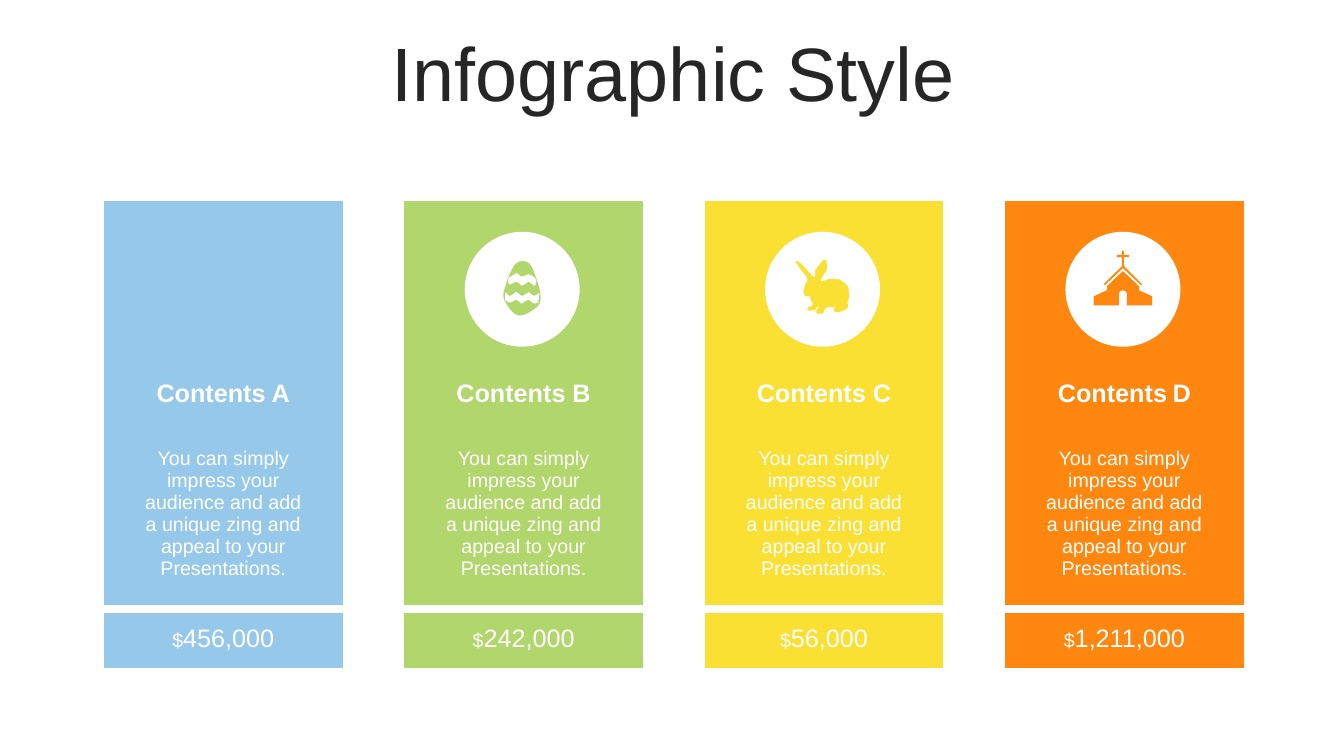
from dataclasses import dataclass
from typing import Any, NamedTuple

from lxml.etree import SubElement
from pptx import Presentation
from pptx.dml.color import RGBColor
from pptx.enum.shapes import MSO_SHAPE
from pptx.enum.text import MSO_ANCHOR, MSO_AUTO_SIZE, PP_ALIGN
from pptx.oxml.ns import qn
from pptx.util import Pt


@dataclass(frozen=True)
class Theme:
    font: str = "Arial"
    ink: str = "262626"
    white: str = "FFFFFF"
    blue: str = "96C8E9"
    green: str = "B0D66C"
    gold: str = "FBE034"
    rust: str = "FF870F"
    title: float = 54
    head: float = 18
    body: float = 14
    rule: float = 6


class Run(NamedTuple):
    text: str
    size: float
    bold: bool = False


class Icon(NamedTuple):
    loops: tuple[str, ...]
    curved: bool


@dataclass(frozen=True)
class Card:
    mark: str
    cost: str
    fill: str
    icon: Icon | None = None
    gap: float = 18


LOOK = Theme()
LEFT, TOP, PITCH = 74.2, 143.28, 214.56
COLS = (16.56, 136.08, 16.56)
ROWS = (124.56, 30.96, 136.08, 42.48)
DISC, INSET, DROP = 82.08, 43.2, 22.32
UNIT = 0.72
PLAIN = "{2D5ABB26-0587-4C30-8999-92F81FD0307C}"
PITCH_TEXT = ("You can simply impress your audience and add a unique zing "
              "and appeal to your Presentations.")

EGG = Icon((
    "39,67 53,83 72,74 75,61 68,38 62,30 53,30 47,37 41,52",
    "70,63 74,61 73,69 73,70 70,71 68,71 64,68 62,68 57,71 56,71 52,68 50,68 "
    "46,70 44,70 40,68 40,67 40,60 44,63 46,63 50,60 52,60 56,63 58,63 63,60 "
    "64,60 68,63",
    "46,44 51,41 52,41 56,44 58,44 63,42 64,42 69,45 71,48 71,50 70,53 68,53 "
    "64,50 63,50 58,53 56,53 52,50 50,50 46,52 44,52 43,49 44,45",
), True)
HARE = Icon((
    "31,31 32,32 35,37 40,43 41,45 42,48 40,52 38,59 39,62 40,64 44,64 46,69 "
    "47,70 47,72 46,74 44,74 42,76 43,78 46,78 49,78 50,77 51,75 53,74 53,75 "
    "51,78 50,79 52,81 57,81 58,80 58,79 61,75 67,75 70,75 68,77 69,79 71,80 "
    "75,79 80,77 82,75 82,71 82,69 83,66 83,59 82,54 75,48 72,47 63,47 57,49 "
    "56,49 55,48 56,46 57,44 61,38 61,30 60,28 58,28 56,30 50,38 50,42 49,45 "
    "47,44 46,43 35,31 31,29 30,29",
), True)
CHURCH = Icon((
    "57,39 73,54 73,58 86,64 86,73 61,73 61,62 60,59 57,58 54,59 53,62 53,73 "
    "28,73 28,64 41,58 41,54",
    "56,19 58,19 58,23 63,23 63,25 58,25 58,34 76,52 75,53 57,36 39,53 38,52 "
    "56,34 56,25 51,25 51,23 56,23",
), False)

CARDS = (
    Card("A", "456,000", LOOK.blue),
    Card("B", "242,000", LOOK.green, EGG),
    Card("C", "56,000", LOOK.gold, HARE),
    Card("D", "1,211,000", LOOK.rust, CHURCH, gap=14),
)


def style(item: Any, values: dict[str, Any]) -> None:
    for name, value in values.items():
        setattr(item, name, value)


def paint(item: Any, tint: str) -> None:
    item.fill.solid()
    item.fill.fore_color.rgb = RGBColor.from_string(tint)


def write(frame: Any, runs: tuple[Run, ...], tint: str) -> None:
    line = frame.paragraphs[0]
    line.alignment = PP_ALIGN.CENTER
    for part in runs:
        run = line.add_run()
        run.text = part.text
        style(run.font, {"name": LOOK.font, "size": Pt(part.size), "bold": part.bold})
        run.font.color.rgb = RGBColor.from_string(tint)


def edge(cell: Any, side: str) -> None:
    props = cell._tc.get_or_add_tcPr()
    line = SubElement(props, qn(f"a:{side}"), w=str(Pt(LOOK.rule)))
    fill = SubElement(line, qn("a:solidFill"))
    SubElement(fill, qn("a:srgbClr"), val=LOOK.white)
    props.insert(0, line)


def add_card(slide: Any, card: Card, left: float) -> None:
    frame = slide.shapes.add_table(len(ROWS), len(COLS), Pt(left), Pt(TOP),
                                   Pt(sum(COLS)), Pt(sum(ROWS)))
    table = frame.table
    style(table, {"first_row": False, "horz_banding": False})
    table._tbl.tblPr.find(qn("a:tableStyleId")).text = PLAIN
    for col, width in zip(table.columns, COLS):
        col.width = Pt(width)
    for row, height in zip(table.rows, ROWS):
        row.height = Pt(height)
    for cell in table.iter_cells():
        paint(cell, card.fill)
    for row in (0, 1, 3):
        table.cell(row, 0).merge(table.cell(row, 2))
    for col in range(len(COLS)):
        edge(table.cell(2, col), "lnB")
        edge(table.cell(3, col), "lnT")
    head = (Run("Contents", LOOK.head, True), Run(" ", card.gap, True),
            Run(card.mark, LOOK.head, True))
    cost = (Run("$", LOOK.body), Run(card.cost, LOOK.head))
    texts = ((1, 0, head, MSO_ANCHOR.TOP),
             (2, 1, (Run(PITCH_TEXT, LOOK.body),), MSO_ANCHOR.MIDDLE),
             (3, 0, cost, MSO_ANCHOR.MIDDLE))
    for row, col, runs, anchor in texts:
        cell = table.cell(row, col)
        cell.vertical_anchor = anchor
        write(cell.text_frame, runs, LOOK.white)


def bend(spots: list[tuple[float, ...]], steps: int = 5) -> list[tuple[float, ...]]:
    count = len(spots)
    curve = []
    for i in range(count):
        ring = [spots[(i + k) % count] for k in (-1, 0, 1, 2)]
        for t in (step / steps for step in range(steps)):
            curve.append(tuple(
                b + t * (c - a) / 2 + t ** 2 * (2 * a - 5 * b + 4 * c - d) / 2
                + t ** 3 * (3 * b - a - 3 * c + d) / 2
                for a, b, c, d in zip(*ring)))
    return curve


def add_icon(slide: Any, icon: Icon, tint: str, left: float, top: float) -> None:
    disc = slide.shapes.add_shape(MSO_SHAPE.OVAL, Pt(left), Pt(top), Pt(DISC), Pt(DISC))
    pen = None
    for loop in icon.loops:
        spots = [tuple(float(n) for n in pair.split(",")) for pair in loop.split()]
        if icon.curved:
            spots = bend(spots)
        trail = [(Pt(left + x * UNIT), Pt(top + y * UNIT)) for x, y in spots]
        if pen is None:
            pen = slide.shapes.build_freeform(*trail[0])
        else:
            pen.move_to(*trail[0])
        pen.add_line_segments(trail[1:], close=True)
    for shape, fill in ((disc, LOOK.white), (pen.convert_to_shape(), tint)):
        paint(shape, fill)
        shape.line.fill.background()
        shape.shadow.inherit = False


def add_title(slide: Any) -> None:
    title = slide.shapes.title
    style(title, {"left": Pt(25.2), "top": Pt(26.64), "width": Pt(911.52), "height": Pt(56.88)})
    style(title.text_frame, {"word_wrap": True, "auto_size": MSO_AUTO_SIZE.NONE,
                             "vertical_anchor": MSO_ANCHOR.MIDDLE})
    write(title.text_frame, (Run("Infographic Style", LOOK.title),), LOOK.ink)
    style(title.text_frame.paragraphs[0], {"line_spacing": 0.9, "space_before": Pt(0)})


def main() -> None:
    deck = Presentation()
    style(deck, {"slide_width": Pt(960), "slide_height": Pt(540)})
    slide = deck.slides.add_slide(deck.slide_layouts[5])
    add_title(slide)
    for i, card in enumerate(CARDS):
        left = LEFT + i * PITCH
        add_card(slide, card, left)
        if card.icon:
            add_icon(slide, card.icon, card.fill, left + INSET, TOP + DROP)
    deck.save("out.pptx")


if __name__ == "__main__":
    main()
